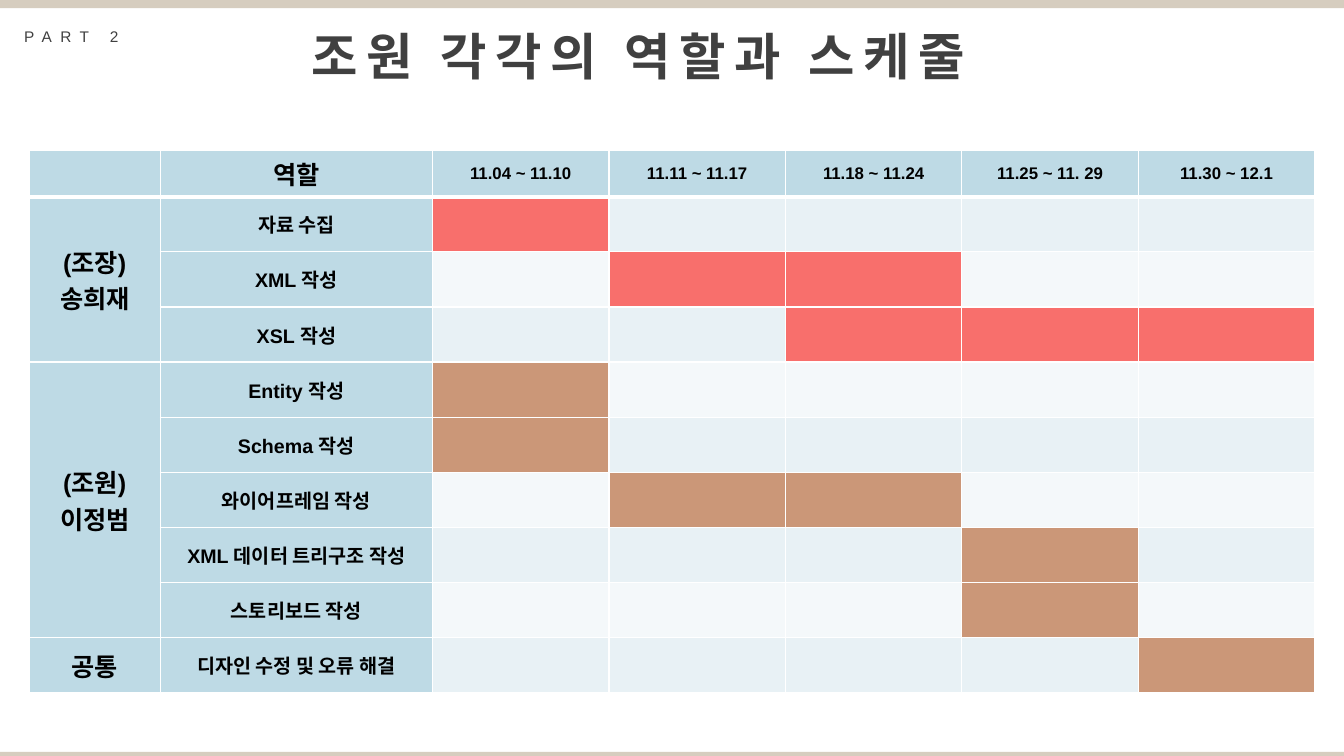
from dataclasses import dataclass

from lxml.etree import SubElement
from pptx import Presentation
from pptx.dml.color import RGBColor
from pptx.enum.shapes import MSO_SHAPE
from pptx.enum.text import MSO_ANCHOR, MSO_AUTO_SIZE, PP_ALIGN
from pptx.oxml.ns import qn
from pptx.util import Inches, Pt

# Content
TITLE = "조원 각각의 역할과 스케줄"
LABEL = "PART 2"
HEADS = ["", "역할", "11.04 ~ 11.10", "11.11 ~ 11.17", "11.18 ~ 11.24",
         "11.25 ~ 11. 29", "11.30 ~ 12.1"]
# member, bar colour, tasks as (name, first week, last week)
TEAM = [
    ("(조장)\n송희재", "red", [
        ("자료 수집", 1, 1),
        ("XML 작성", 2, 3),
        ("XSL 작성", 3, 5),
    ]),
    ("(조원)\n이정범", "tan", [
        ("Entity 작성", 1, 1),
        ("Schema 작성", 1, 1),
        ("와이어프레임 작성", 2, 3),
        ("XML 데이터 트리구조 작성", 4, 4),
        ("스토리보드 작성", 4, 4),
    ]),
    ("공통", "tan", [("디자인 수정 및 오류 해결", 5, 5)]),
]


@dataclass
class Theme:
    font: str = "Arial"
    ink: str = "404040"
    black: str = "000000"
    white: str = "FFFFFF"
    band: str = "D6CDBF"
    head: str = "BEDAE5"
    odd: str = "E8F1F5"
    even: str = "F4F8FA"
    red: str = "F86F6C"
    tan: str = "CB9778"
    title: int = 36
    name: int = 18
    task: int = 14
    date: int = 12
    label: int = 11


theme = Theme()


def write(frame, text, size, color=theme.black, bold=True,
          align=PP_ALIGN.CENTER, gap=0):
    """Fill a text frame, one paragraph per line; gap is letter spacing in points."""
    frame.text = text
    for para in frame.paragraphs:
        para.alignment = align
        for run in para.runs:
            font = run.font
            font.name, font.size, font.bold = theme.font, Pt(size), bold
            font.color.rgb = RGBColor.from_string(color)
            if gap:
                run._r.get_or_add_rPr().set("spc", str(gap * 100))


def paint(cell, color, top=1, bottom=1):
    """Give a cell its fill and white borders."""
    props = cell._tc.get_or_add_tcPr()
    for side, width in zip("LRTB", (1, 1, top, bottom)):
        line = SubElement(props, qn(f"a:ln{side}"), w=str(Pt(width)))
        fill = SubElement(line, qn("a:solidFill"))
        SubElement(fill, qn("a:srgbClr"), val=theme.white)
    cell.fill.solid()
    cell.fill.fore_color.rgb = RGBColor.from_string(color)
    cell.vertical_anchor = MSO_ANCHOR.MIDDLE


deck = Presentation()
deck.slide_width, deck.slide_height = Inches(13.33), Inches(7.5)
slide = deck.slides.add_slide(deck.slide_layouts[5])

# Bands at the top and bottom edges
for y in (0, 7.46):
    band = slide.shapes.add_shape(MSO_SHAPE.RECTANGLE, 0, Inches(y),
                                  deck.slide_width, Inches(0.08))
    band.shadow.inherit = False
    band.fill.solid()
    band.fill.fore_color.rgb = RGBColor.from_string(theme.band)
    band.line.fill.background()

# Title
title = slide.shapes.title
title.left, title.top = Inches(2.99), Inches(0.19)
title.width, title.height = Inches(7.35), Inches(0.71)
title.text_frame.auto_size = MSO_AUTO_SIZE.NONE
title.text_frame.word_wrap = True
title.text_frame.vertical_anchor = MSO_ANCHOR.MIDDLE
write(title.text_frame, TITLE, theme.title, theme.ink,
      align=PP_ALIGN.LEFT, gap=6)

# Schedule table
rows = 1 + sum(len(tasks) for _, _, tasks in TEAM)
high, first = 5.37, 0.45
grid = slide.shapes.add_table(rows, len(HEADS), Inches(0.29), Inches(1.49),
                              Inches(12.75), Inches(high)).table
for col, width in zip(grid.columns, [1.3, 2.7] + [1.75] * 5):
    col.width = Inches(width)
for i, row in enumerate(grid.rows):
    row.height = Inches(first if i == 0 else (high - first) / (rows - 1))

# Header row
for c, head in enumerate(HEADS):
    cell = grid.cell(0, c)
    paint(cell, theme.head, bottom=3)
    if head:
        write(cell.text_frame, head, theme.name if c == 1 else theme.date)

# Members, tasks and week bars
r = 1
for member, tint, tasks in TEAM:
    start = r
    bar = theme.red if tint == "red" else theme.tan
    for task, begin, end in tasks:
        blank = theme.odd if r % 2 else theme.even
        weeks = [bar if begin <= w <= end else blank for w in range(1, 6)]
        for c, color in enumerate([theme.head, theme.head] + weeks):
            paint(grid.cell(r, c), color, top=3 if r == 1 else 1)
        write(grid.cell(r, 1).text_frame, task, theme.task)
        r += 1
    owner = grid.cell(start, 0)
    if len(tasks) > 1:
        owner.merge(grid.cell(r - 1, 0))
    write(owner.text_frame, member, theme.name)

# Section label
label = slide.shapes.add_textbox(Inches(0.14), Inches(0.22),
                                 Inches(1.25), Inches(0.29)).text_frame
label.word_wrap = True
label.margin_right = 0
write(label, LABEL, theme.label, theme.ink, bold=False,
      align=PP_ALIGN.LEFT, gap=6)

deck.save("out.pptx")
